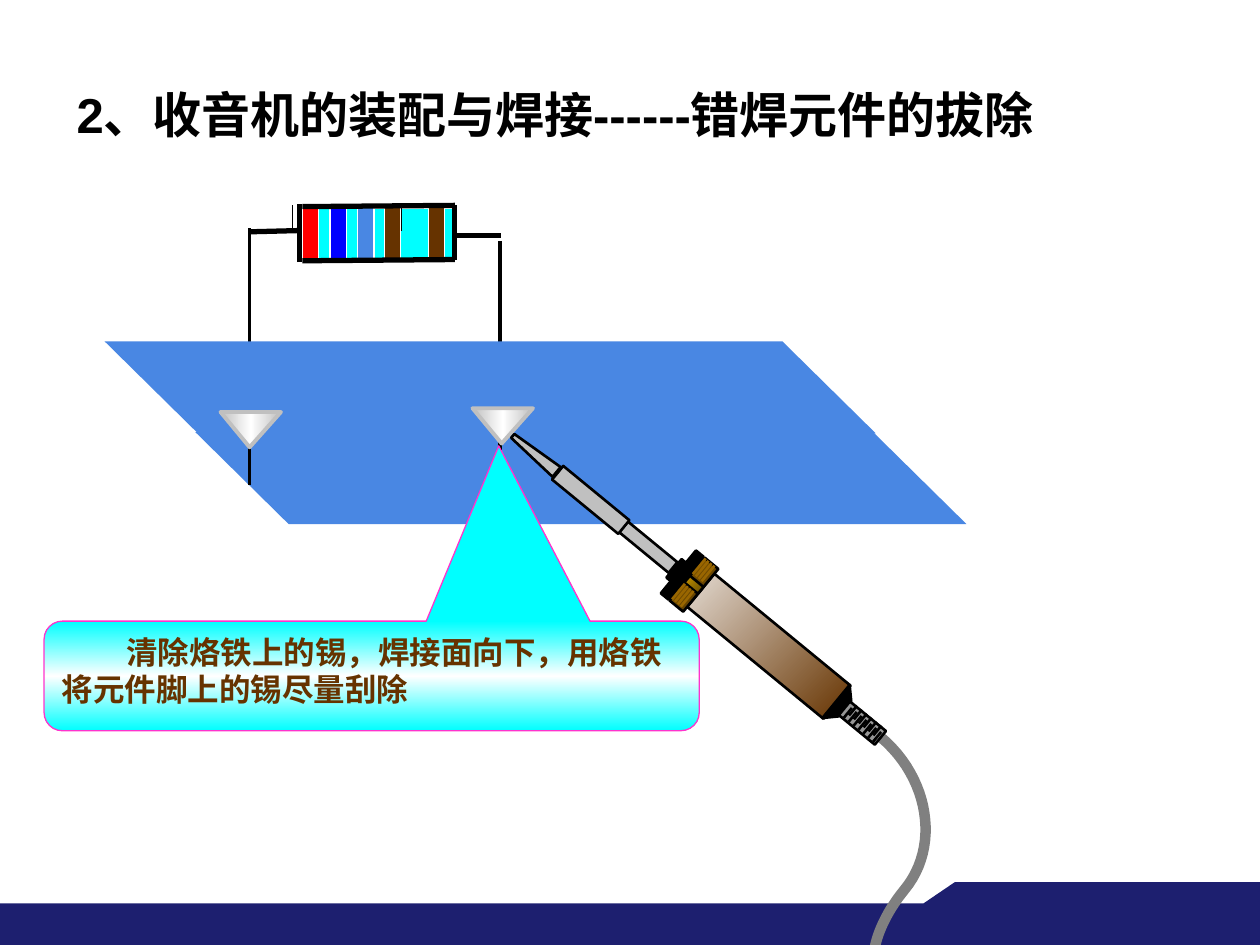
from math import cos, radians, sin

from lxml import etree
from pptx import Presentation
from pptx.dml.color import RGBColor
from pptx.enum.shapes import MSO_CONNECTOR, MSO_SHAPE as SHAPE
from pptx.enum.text import MSO_ANCHOR, PP_ALIGN
from pptx.oxml.ns import qn
from pptx.util import Inches, Pt

NAVY, BLUE, CYAN, BROWN = "1D1F6F", "4987E3", "00FFFF", "663300"
BLACK, WHITE, SILVER, BRASS = "000000", "FFFFFF", "C0C0C0", "996600"


def rgb(color):
    return RGBColor.from_string(color)


def paint(shape, fill=None, line=None, weight=0.75, angle=0):
    """Set fill and outline; a list of colours makes an even gradient."""
    shape.shadow.inherit = False
    if fill is None:
        shape.fill.background()
    elif isinstance(fill, str):
        shape.fill.solid()
        shape.fill.fore_color.rgb = rgb(fill)
    else:
        shape.fill.gradient()
        gradient = shape._element.spPr.find(qn("a:gradFill"))
        gradient.set("rotWithShape", "0")
        stops = gradient.find(qn("a:gsLst"))
        for stop in list(stops):
            stops.remove(stop)
        for i, color in enumerate(fill):
            stop = etree.SubElement(stops, qn("a:gs"), pos=str(100000 * i // (len(fill) - 1)))
            etree.SubElement(stop, qn("a:srgbClr"), val=color)
        direction = gradient.find(qn("a:lin"))
        direction.set("ang", str(angle * 60000))
        direction.set("scaled", "0")
    if line is None:
        shape.line.fill.background()
    else:
        shape.line.color.rgb = rgb(line)
        shape.line.width = Pt(weight)


def add_preset(slide, kind, left, top, width, height, adjust=(), flip=False, **look):
    shape = slide.shapes.add_shape(kind, Inches(left), Inches(top), Inches(width), Inches(height))
    for i, value in enumerate(adjust):
        shape.adjustments[i] = value
    if flip:
        shape._element.spPr.find(qn("a:xfrm")).set("flipV", "1")
    paint(shape, **look)
    return shape


def add_outline(slide, points, close=True, **look):
    corners = [(Inches(x), Inches(y)) for x, y in points]
    builder = slide.shapes.build_freeform(*corners[0])
    builder.add_line_segments(corners[1:], close=close)
    paint(builder.convert_to_shape(), **look)


def add_line(slide, start, end, color=BLACK, weight=0.75):
    line = slide.shapes.add_connector(
        MSO_CONNECTOR.STRAIGHT, *(Inches(value) for value in (*start, *end)))
    line.line.color.rgb = rgb(color)
    line.line.width = Pt(weight)
    etree.SubElement(line._element.spPr, qn("a:effectLst"))


def write(frame, text, size, font, color, indent=0):
    frame.word_wrap = True
    frame.vertical_anchor = MSO_ANCHOR.TOP
    paragraph = frame.paragraphs[0]
    paragraph.alignment = PP_ALIGN.LEFT
    if indent:
        paragraph._p.get_or_add_pPr().set("indent", str(Inches(indent)))
    run = paragraph.add_run()
    run.text = text
    run.font.size, run.font.bold, run.font.name = Pt(size), True, font
    run.font.color.rgb = rgb(color)


def footer(slide, left, top, width, height):
    base = top + 0.17
    add_preset(slide, SHAPE.RECTANGLE, left, base, width, height - 0.17, fill=NAVY)
    right = left + width
    add_outline(slide, [(left + 7.33, base), (left + 7.58, top), (right, top),
                        (right, top + 0.25), (left + 7.33, top + 0.25)], fill=NAVY)


def resistor(slide, left, top):
    """Draw the banded body and its two leads from the top left of the left lead."""
    def wire(x1, y1, x2, y2, weight=3):
        add_line(slide, (left + x1, top + y1), (left + x2, top + y2), weight=weight)

    def band(x, y, width, height, color):
        add_preset(slide, SHAPE.RECTANGLE, left + x, top + y, width, height, fill=color, line=WHITE)

    wire(0, 0.21, 0.39, 0.2)
    band(0.42, 0.02, 1.22, 0.41, CYAN)
    wire(0.4, 0.45, 0.4, -0.01)
    for step in (0, 1, 3, 4, 5, 6, 7, 8, 10):
        x = 0.34 + 1.08 * step / 10
        wire(x, 0.2, x, 0, 0.75)
    wire(1.63, 0.43, 1.63, 0)
    for x, color in ((1.07, BROWN), (0.86, BLUE), (0.64, "0000FF"), (0.42, "FF0000"), (1.42, BROWN)):
        band(x, 0, 0.13, 0.43, color)
    wire(0.42, 0.44, 1.63, 0.43)
    wire(0.42, 0.01, 1.63, 0)
    wire(0, 2.22, 0, 0.18, 2.25)
    wire(1.99, 2.08, 1.99, 0.28, 2.25)
    wire(1.61, 0.24, 2, 0.24)


def circuit(slide, left, top):
    """Place the resistor leads between the two halves of the board."""
    def board(x, y):
        add_preset(slide, SHAPE.PARALLELOGRAM, x, y, 6.12, 0.73, [1.015], True, fill=BLUE)

    board(left + 0.72, top + 1.8)
    resistor(slide, left + 1.15, top)
    board(left, top + 1.08)
    for x, y in ((0.92, 1.64), (2.92, 1.61)):
        add_preset(slide, SHAPE.ISOSCELES_TRIANGLE, left + x, top + y, 0.48, 0.28, [0.482], True,
                   fill=[SILVER, WHITE, SILVER], line=SILVER, weight=2.25)


def bezier(start, pull_a, pull_b, end, steps=24):
    for i in range(steps + 1):
        t = i / steps
        yield tuple((1 - t) ** 3 * a + 3 * t * (1 - t) ** 2 * b + 3 * t * t * (1 - t) * c + t ** 3 * d
                    for a, b, c, d in zip(start, pull_a, pull_b, end))


def soldering_iron(slide, left, top, tilt=39.4):
    """Draw the iron along an axis that starts at its tip (left, top)."""
    ux, uy = cos(radians(tilt)), sin(radians(tilt))

    def at(along, across):
        return left + along * ux - across * uy, top + along * uy + across * ux

    def segment(along, length, thickness, fill):
        x, y = at(along, 0)
        part = add_preset(slide, SHAPE.RECTANGLE, x - thickness / 2, y - length / 2, thickness, length,
                          fill=fill, line=BLACK, weight=1.5, angle=45)
        part.rotation = tilt + 90

    def taper(start, start_half, end, end_half, fill):
        add_outline(slide, [at(start, -start_half), at(end, -end_half), at(end, end_half),
                            at(start, start_half)], fill=fill, line=BLACK, weight=1.5)

    def ribs(count, first, step, across, length, color):
        for i in range(count):
            along = first + i * step
            add_line(slide, at(along, across - length / 2), at(along, across + length / 2), color, 1.5)

    upper = bezier((2.92, 2.39), (3.31, 2.72), (3.39, 3.26), (3.11, 3.6))
    lower = bezier((3.11, 3.6), (2.88, 3.88), (2.79, 4.21), (2.93, 4.33))
    cord = [(left + x, top + y) for x, y in [*upper, *list(lower)[1:]]]
    add_outline(slide, cord, close=False, line="808080", weight=6)

    segment(2.63, 1.4, 0.34, ["E3DAD1", BROWN])
    taper(3.32, 0.17, 3.41, 0.08, BLACK)
    segment(1.86, 0.14, 0.44, [BRASS, "472F00"])
    segment(1.74, 0.08, 0.44, BLACK)
    segment(1.68, 0.05, 0.19, BLACK)
    segment(1.39, 0.51, 0.11, SILVER)
    segment(0.8, 0.68, 0.14, SILVER)
    taper(0, 0.02, 0.45, 0.05, SILVER)
    segment(3.59, 0.37, 0.14, "969696")
    ribs(7, 3.45, 0.05, 0.01, 0.1, BLACK)
    ribs(6, 3.47, 0.05, -0.03, 0.1, BLACK)
    segment(1.86, 0.14, 0.07, ["CC9900", "5E4700"])
    for across in (-0.14, 0.12):
        ribs(4, 1.8, 0.03, across, 0.16, BRASS)


def instruction(slide, left, top, width, height):
    callout = add_preset(slide, SHAPE.ROUNDED_RECTANGULAR_CALLOUT, left, top, width, height,
                         [0.194, -2.099, 0.167], fill=[CYAN, WHITE, CYAN], line="FF33CC", angle=90)
    write(callout.text_frame, "清除烙铁上的锡，焊接面向下，用烙铁将元件脚上的锡尽量刮除",
          18, "Times New Roman", BROWN, indent=0.51)


def title(slide, left, top, width, height):
    heading = slide.shapes.add_textbox(Inches(left), Inches(top), Inches(width), Inches(height))
    write(heading.text_frame, "2、收音机的装配与焊接------错焊元件的拔除", 28, "Arial", BLACK)


def main():
    deck = Presentation()
    deck.slide_width, deck.slide_height = Inches(10), Inches(7.5)
    slide = deck.slides.add_slide(deck.slide_layouts[6])
    footer(slide, 0, 7, 10, 0.5)
    circuit(slide, 0.83, 1.63)
    soldering_iron(slide, 4.07, 3.46)
    instruction(slide, 0.35, 4.93, 5.2, 0.87)
    title(slide, 0.51, 0.62, 7.87, 1.04)
    deck.save("out.pptx")


if __name__ == "__main__":
    main()
